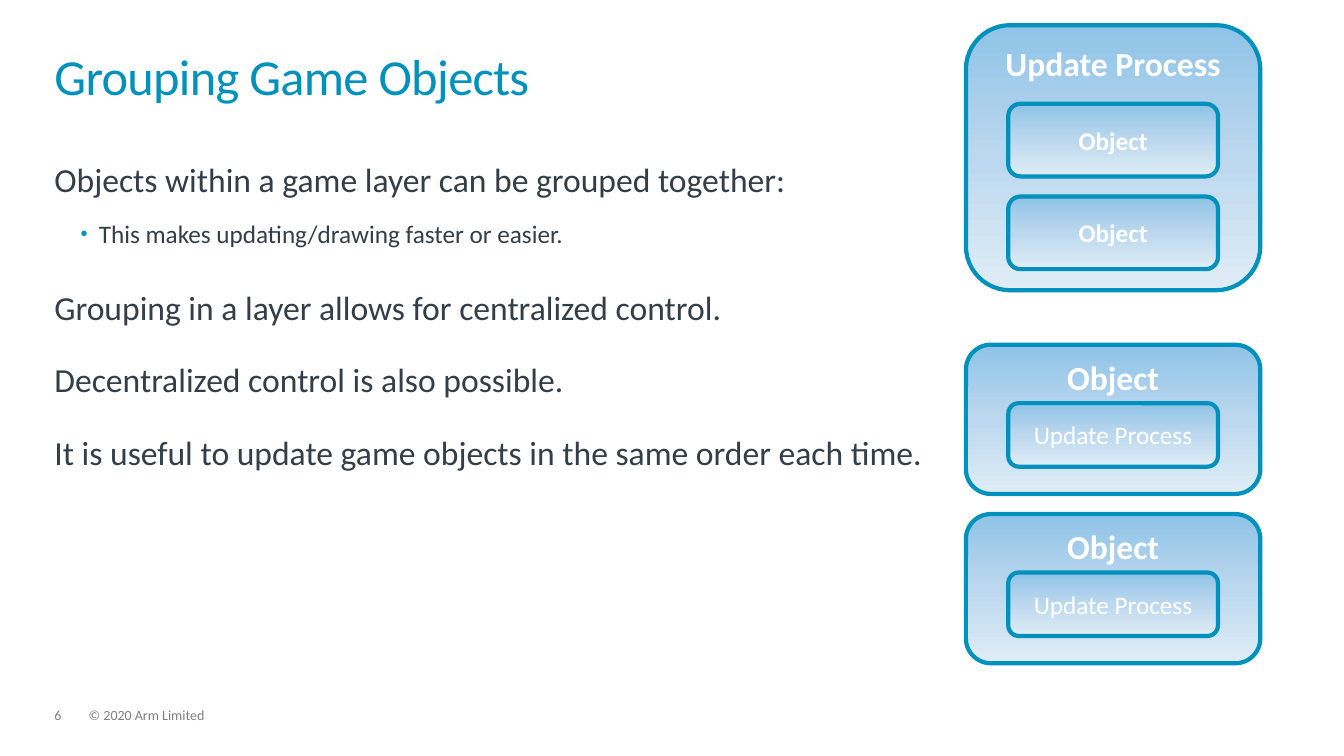
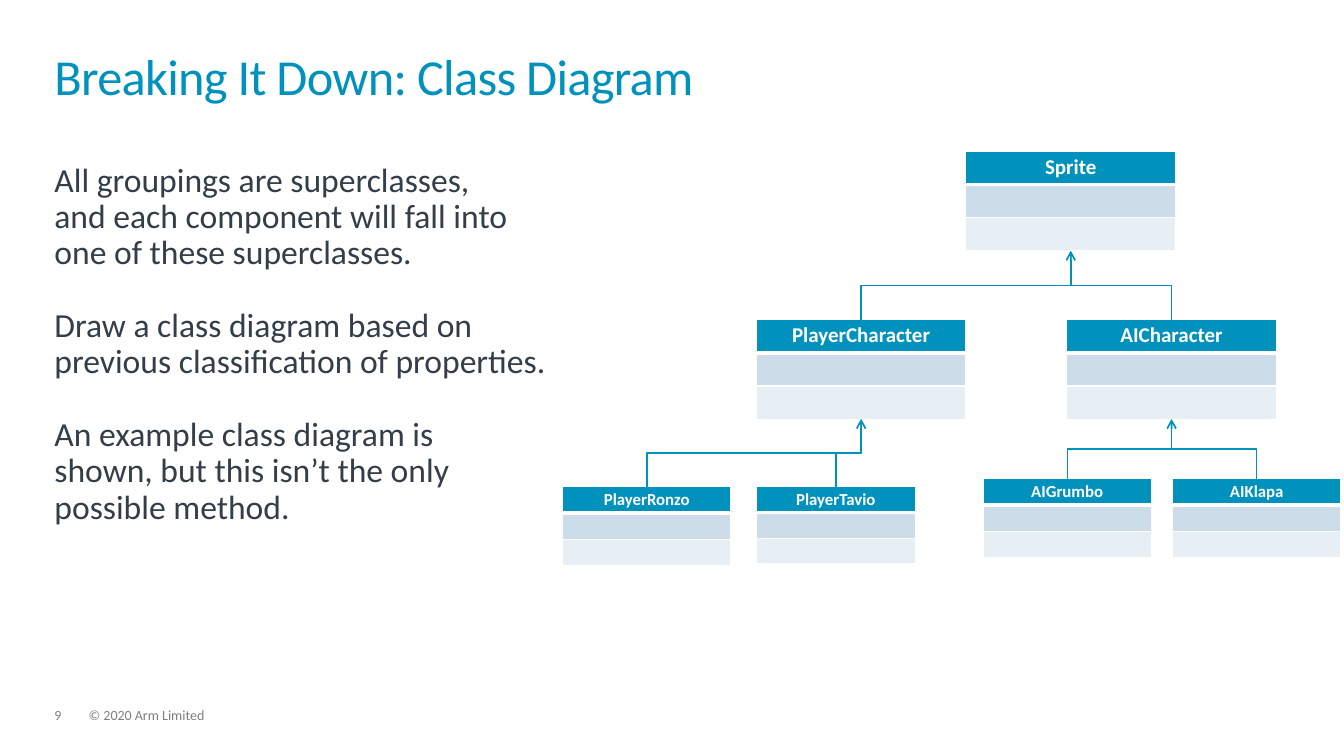
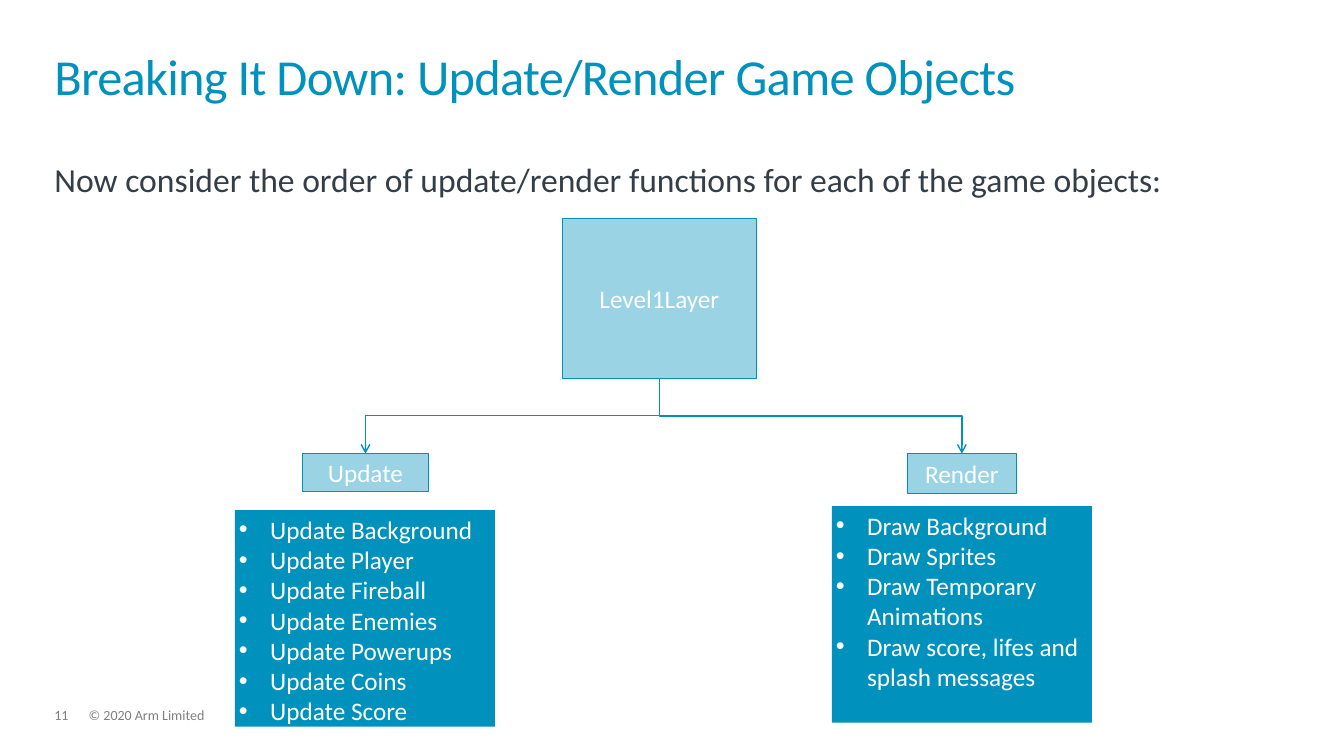
import copy
import pptx
import pptx.util
import pptx.dml.color
import pptx.enum.shapes
import pptx.enum.text
import pptx.oxml.ns
import lxml.etree

Inches = pptx.util.Inches
Pt = pptx.util.Pt
qn = pptx.oxml.ns.qn
ALIGN = pptx.enum.text.PP_ALIGN
ANCHOR = pptx.enum.text.MSO_ANCHOR
SHAPE = pptx.enum.shapes.MSO_SHAPE

FONT = "Calibri"
COLOURS = {"teal": "0091BD", "ink": "333E48", "grey": "7F7F7F", "white": "FFFFFF",
           "top": "8FC3E7", "mid": "BCD8EE", "low": "DFECF6",
           "band": "CCDCE8", "pale": "E7EEF4"}
LEFT, WIDE = 0.54, 12.23
COPYRIGHT = "© 2020 Arm Limited"

BODY = {"size": 24, "color": "ink", "line": 0.9, "after": 16}
APART = {**BODY, "after": 26}
POINT = {"size": 18, "color": "ink", "line": 0.9, "after": 30,
         "bullet": (0.44, 0.18, "teal", 80)}
HEAD = {"size": 36, "color": "teal", "line": 0.85, "spc": -50}
FOOT = {"size": 10, "color": "grey", "line": 0.9}
LABEL = {"size": 18, "color": "white", "align": ALIGN.CENTER}
BOLD = {**LABEL, "bold": True}
LARGE = {**BOLD, "size": 24}
ITEM = {"size": 18, "color": "white", "align": ALIGN.LEFT,
        "bullet": (0.31, 0.31, "white", 100)}

GROUPING = [
    ("Objects within a game layer can be grouped together:", BODY),
    ("This makes updating/drawing faster or easier.", POINT),
    ("Grouping in a layer allows for centralized control.", APART),
    ("Decentralized control is also possible.", APART),
    ("It is useful to update game objects in the same order each time.", BODY),
]
GROUPS = [
    ("Update Process", 0.25, 2.63, [("Object", 1.03, 0.72, BOLD), ("Object", 1.95, 0.72, BOLD)]),
    ("Object", 3.42, 1.48, [("Update Process", 4, 0.63, LABEL)]),
    ("Object", 5.1, 1.48, [("Update Process", 5.68, 0.63, LABEL)]),
]

DIAGRAM = [
    ("All groupings are superclasses,\vand each component will fall into\v"
     "one of these superclasses.", APART),
    ("Draw a class diagram based on\vprevious classification of properties.", APART),
    ("An example class diagram is\vshown, but this isn’t the only\vpossible method.", BODY),
]
CLASSES = {
    "Sprite": (9.58, 1.5, 2.08, 0.33, 15, None),
    "PlayerCharacter": (7.5, 3.17, 2.08, 0.33, 15, "Sprite"),
    "AICharacter": (10.58, 3.17, 2.08, 0.33, 15, "Sprite"),
    "PlayerRonzo": (5.58, 4.83, 1.67, 0.26, 12, "PlayerCharacter"),
    "PlayerTavio": (7.5, 4.83, 1.58, 0.25, 12, "PlayerCharacter"),
    "AIGrumbo": (9.75, 4.75, 1.67, 0.26, 12, "AICharacter"),
    "AIKlapa": (11.63, 4.75, 1.67, 0.26, 12, "AICharacter"),
}

ORDER = [("Now consider the order of update/render functions for each of the game objects:", BODY)]
LAYER = ("Level1Layer", 5.58, 2.17, 1.92, 1.58)
STAGES = [
    (("Update", 3, 4.5, 1.25, 0.38), (2.33, 5.06),
     ["Update Background", "Update Player", "Update Fireball", "Update Enemies",
      "Update Powerups", "Update Coins", "Update Score"]),
    (("Render", 9, 4.5, 1.08, 0.4), (8.25, 5.02),
     ["Draw Background", "Draw Sprites", "Draw Temporary Animations",
      "Draw score, lifes and splash messages"]),
]


def rgb(name):
    return pptx.dml.color.RGBColor.from_string(COLOURS[name])


def put(target, values):
    for key, value in values.items():
        setattr(target, key, value)


def place(*sizes):
    return [Inches(size) for size in sizes]


def add(parent, tag, **values):
    return lxml.etree.SubElement(parent, qn("a:" + tag), values)


def bullet(para, indent, hang, color, size):
    props = para._p.get_or_add_pPr()
    props.set("marL", str(Inches(indent)))
    props.set("indent", str(-Inches(hang)))
    add(add(props, "buClr"), "srgbClr", val=COLOURS[color])
    add(props, "buSzPct", val=str(size * 1000))
    add(props, "buFont", typeface="Arial")
    add(props, "buChar", char="•")


def write(frame, paras, anchor=ANCHOR.TOP, inset=None):
    put(frame, {"word_wrap": True, "vertical_anchor": anchor,
                "auto_size": pptx.enum.text.MSO_AUTO_SIZE.NONE})
    if inset is not None:
        put(frame, {"margin_" + side: Inches(inset)
                    for side in ("left", "top", "right", "bottom")})
    for index, (text, style) in enumerate(paras):
        para = frame.add_paragraph() if index else frame.paragraphs[0]
        if "bullet" in style:
            bullet(para, *style["bullet"])
        para.text = text
        put(para, {"alignment": style.get("align", ALIGN.LEFT), "space_before": Pt(0),
                   "space_after": Pt(style.get("after", 0)),
                   "line_spacing": style.get("line", 1.0)})
        for run in para.runs:
            put(run.font, {"name": FONT, "size": Pt(style["size"]),
                           "bold": style.get("bold", False)})
            run.font.color.rgb = rgb(style["color"])
            if "spc" in style:
                run._r.get_or_add_rPr().set("spc", str(style["spc"]))


def note(slide, box, paras):
    write(slide.shapes.add_textbox(*place(*box)).text_frame, paras, inset=0)


def start(deck, number, title, body):
    slide = deck.slides.add_slide(deck.slide_layouts[5])
    note(slide, (0.88, 7.03, 9.13, 0.15), [(COPYRIGHT, FOOT)])
    note(slide, (LEFT, 7.03, 0.34, 0.15), [(str(number), FOOT)])
    note(slide, (LEFT, 1.62, WIDE, 4.47), body)
    head = slide.shapes.title
    put(head, dict(zip(("left", "top", "width", "height"), place(LEFT, 0.32, WIDE, 0.73))))
    write(head.text_frame, [(title, HEAD)], ANCHOR.BOTTOM, 0)
    return slide


def panel(slide, kind, box, paras, anchor, line=0, inset=None):
    shape = slide.shapes.add_shape(kind, *place(*box))
    shape.shadow.inherit = False
    if line:
        shape.line.color.rgb = rgb("teal")
        shape.line.width = Pt(line)
    else:
        shape.line.fill.background()
    write(shape.text_frame, paras, anchor, inset)
    return shape


def solid(shape, alpha=None):
    shape.fill.solid()
    shape.fill.fore_color.rgb = rgb("teal")
    if alpha:
        color = shape._element.spPr.find(qn("a:solidFill"))[0]
        add(color, "alpha", val=str(alpha * 1000))


def shade(shape):
    shape.fill.gradient()
    shape.fill.gradient_angle = 270
    stops = shape._element.spPr.find(qn("a:gradFill")).find(qn("a:gsLst"))
    stops.append(copy.deepcopy(stops[0]))
    for stop, name, spot in zip(shape.fill.gradient_stops, ("top", "mid", "low"), (0, 0.5, 1)):
        stop.color.rgb = rgb(name)
        stop.position = spot


def elbow(slide, begin, end):
    midx, midy = (begin[0] + end[0]) / 2, (begin[1] + end[1]) / 2
    dx, dy = (end[0] - begin[0]) / 2, (end[1] - begin[1]) / 2
    link = slide.shapes.add_connector(
        pptx.enum.shapes.MSO_CONNECTOR.ELBOW,
        *place(midx - dy, midy + dx, midx + dy, midy - dx))
    link.line.color.rgb = rgb("teal")
    link.line.width = Pt(1)
    props = link._element.spPr
    props.find(qn("a:xfrm")).set("rot", str(90 * 60000))
    add(props.find(qn("a:ln")), "tailEnd", type="arrow")
    add(props, "effectLst")


def border(cell, bottom):
    props = cell._tc.get_or_add_tcPr()
    for index, side in enumerate("LRTB"):
        width = bottom if side == "B" else 1
        edge = add(props, "ln" + side, w=str(Pt(width)))
        add(add(edge, "solidFill"), "srgbClr", val=COLOURS["white"])
        props.insert(index, edge)


def grid(slide, name, x, y, width, height, size):
    table = slide.shapes.add_table(3, 1, *place(x, y, width, height * 3)).table
    side = size / 15 * 0.08
    for index, fill in enumerate(("teal", "band", "pale")):
        table.rows[index].height = Inches(height)
        cell = table.cell(index, 0)
        put(cell, {"margin_left": Inches(side), "margin_right": Inches(side),
                   "margin_top": Inches(side * 0.4), "margin_bottom": Inches(side * 0.4)})
        cell.fill.solid()
        cell.fill.fore_color.rgb = rgb(fill)
        border(cell, 1 if index else 3)
        if index:
            add(cell.text_frame.paragraphs[0]._p, "endParaRPr", sz=str(size * 100))
        else:
            para = cell.text_frame.paragraphs[0]
            para.text = name
            para.alignment = ALIGN.CENTER
            font = para.runs[0].font
            put(font, {"name": FONT, "size": Pt(size), "bold": True})
            font.color.rgb = rgb("white")


def groups(deck):
    slide = start(deck, 6, "Grouping Game Objects", GROUPING)
    for name, top, height, parts in GROUPS:
        shade(panel(slide, SHAPE.ROUNDED_RECTANGLE, (9.58, top, 2.92, height),
                    [(name, LARGE)], ANCHOR.TOP, 3))
        for part, y, tall, style in parts:
            shade(panel(slide, SHAPE.ROUNDED_RECTANGLE, (10, y, 2.08, tall),
                        [(part, style)], ANCHOR.MIDDLE, 3))


def classes(deck):
    slide = start(deck, 9, "Breaking It Down: Class Diagram", DIAGRAM)
    for name, (*box, parent) in CLASSES.items():
        grid(slide, name, *box)
    for x, y, width, height, size, parent in CLASSES.values():
        if parent:
            px, py, wide, tall = CLASSES[parent][:4]
            elbow(slide, (x + width / 2, y), (px + wide / 2, py + tall * 3))


def stages(deck):
    slide = start(deck, 11, "Breaking It Down: Update/Render Game Objects", ORDER)
    for name, *box in [LAYER] + [stage[0] for stage in STAGES]:
        solid(panel(slide, SHAPE.RECTANGLE, box, [(name, LABEL)], ANCHOR.MIDDLE, 0.5), 40)
    x, y, width, height = LAYER[1:]
    for (name, left, top, wide, tall), spot, items in STAGES:
        elbow(slide, (x + width / 2, y + height), (left + wide / 2, top))
        solid(panel(slide, SHAPE.RECTANGLE, (*spot, 2.58, 2.15),
                    [(item, ITEM) for item in items], ANCHOR.TOP, inset=0.04))


def main():
    deck = pptx.Presentation()
    put(deck, {"slide_width": Inches(13.33), "slide_height": Inches(7.5)})
    for build in (groups, classes, stages):
        build(deck)
    deck.save("out.pptx")


if __name__ == "__main__":
    main()
